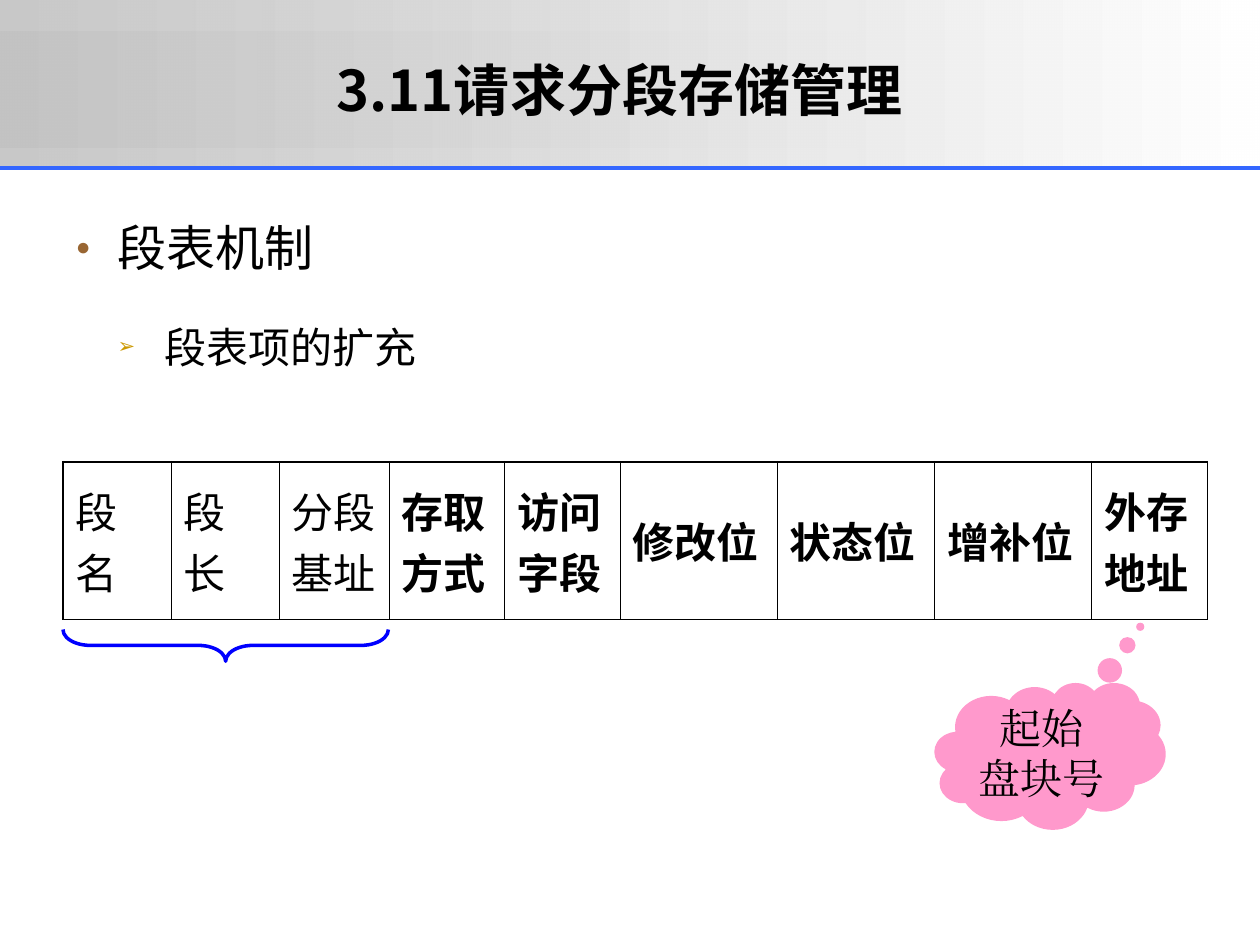
from dataclasses import dataclass

from lxml.etree import SubElement
from pptx import Presentation
from pptx.dml.color import RGBColor
from pptx.enum.shapes import MSO_CONNECTOR, MSO_SHAPE
from pptx.enum.text import MSO_ANCHOR, MSO_AUTO_SIZE, PP_ALIGN
from pptx.oxml.ns import qn
from pptx.util import Cm, Pt

CJK = "Noto Sans CJK SC"
BLACK = "000000"


@dataclass(frozen=True)
class Band:
    """A header band that fades from grey to white."""
    top: float
    height: float
    opacity: int


@dataclass(frozen=True)
class Field:
    """One field of the segment table entry."""
    name: str
    width: float
    added: bool = True


@dataclass(frozen=True)
class Bullet:
    """A list mark with its colour and hanging indent."""
    mark: str
    color: str
    indent: float


BANDS = [Band(0, 3.39, 86), Band(0.64, 2.33, 59)]
FIELDS = [
    Field("段名", 2.18, False),
    Field("段长", 2.18, False),
    Field("分段基址", 2.21, False),
    Field("存取方式", 2.33),
    Field("访问字段", 2.33),
    Field("修改位", 3.17),
    Field("状态位", 3.17),
    Field("增补位", 3.17),
    Field("外存地址", 2.33),
]


def rgb(value: str) -> RGBColor:
    """Turn a hex string into a colour."""
    return RGBColor.from_string(value)


def place(shape, left: float, top: float, width: float, height: float) -> None:
    """Move and size a shape in centimetres."""
    shape.left, shape.top, shape.width, shape.height = map(Cm, (left, top, width, height))


def add_bullet(paragraph, bullet: Bullet) -> None:
    """Give a paragraph a coloured half-size bullet."""
    properties = paragraph._p.get_or_add_pPr()
    properties.set("marL", str(Cm(bullet.indent)))
    properties.set("indent", str(-Cm(bullet.indent)))
    SubElement(SubElement(properties, qn("a:buClr")), qn("a:srgbClr"), val=bullet.color)
    SubElement(properties, qn("a:buSzPct"), val="50000")
    SubElement(properties, qn("a:buFont"), typeface="Arial")
    SubElement(properties, qn("a:buChar"), char=bullet.mark)


def write(frame, text: str, *, size: float = 24, font: str = "Arial", east: str = CJK,
          bold: bool = False, align=PP_ALIGN.LEFT, anchor=MSO_ANCHOR.MIDDLE,
          margins: tuple[float, float] = (0.25, 0.13), bullet: Bullet | None = None) -> None:
    """Write formatted lines into a text frame."""
    frame.text = text
    frame.word_wrap = True
    frame.auto_size = MSO_AUTO_SIZE.NONE
    frame.vertical_anchor = anchor
    frame.margin_left = frame.margin_right = Cm(margins[0])
    frame.margin_top = frame.margin_bottom = Cm(margins[1])
    for paragraph in frame.paragraphs:
        paragraph.alignment = align
        paragraph.space_before = Pt(0)
        if bullet:
            add_bullet(paragraph, bullet)
        for run in paragraph.runs:
            run.font.size = Pt(size)
            run.font.name = font
            run.font.bold = bold
            run.font.color.rgb = rgb(BLACK)
            SubElement(run.font._element, qn("a:ea"), typeface=east)


def add_band(slide, band: Band) -> None:
    """Draw one fading header band."""
    shape = slide.shapes.add_shape(
        MSO_SHAPE.RECTANGLE, 0, Cm(band.top), Cm(25.4), Cm(band.height))
    shape.shadow.inherit = False
    shape.line.fill.background()
    shape.fill.gradient()
    shape.fill.gradient_angle = 0
    for stop, color in zip(shape.fill.gradient_stops, ("C0C0C0", "FFFFFF")):
        stop.color.rgb = rgb(color)
    grey = next(shape._element.iter(qn("a:srgbClr")))
    SubElement(grey, qn("a:alpha"), val=str(band.opacity * 1000))


def add_rule(slide) -> None:
    """Draw the blue line under the header."""
    rule = slide.shapes.add_connector(
        MSO_CONNECTOR.STRAIGHT, 0, Cm(3.39), Cm(25.4), Cm(3.39))
    rule.line.color.rgb = rgb("3366FF")
    rule.line.width = Pt(2.25)
    SubElement(rule._element.spPr, qn("a:effectLst"))


def add_borders(cell, widths: dict[str, float]) -> None:
    """Draw the four borders of a cell."""
    properties = cell._tc.get_or_add_tcPr()
    for side, width in widths.items():
        border = SubElement(properties, qn(f"a:ln{side}"), w=str(Pt(width)))
        SubElement(SubElement(border, qn("a:solidFill")), qn("a:srgbClr"), val=BLACK)


def add_segment_entry(slide, fields: list[Field]) -> None:
    """Draw the extended segment table entry."""
    total = sum(field.width for field in fields)
    table = slide.shapes.add_table(
        1, len(fields), Cm(1.27), Cm(9.31), Cm(total), Cm(3.18)).table
    table.first_row = table.horz_banding = False
    thin, thick = 0.45, 1.08
    for index, field in enumerate(fields):
        table.columns[index].width = Cm(field.width)
        cell = table.cell(0, index)
        write(cell.text_frame, field.name, bold=field.added)
        cell.vertical_anchor = MSO_ANCHOR.MIDDLE
        add_borders(cell, {
            "L": thick if index == 0 else thin,
            "R": thick if index == len(fields) - 1 else thin,
            "T": thick,
            "B": thick,
        })
        cell.fill.background()


def add_brace(slide) -> None:
    """Draw the brace under the basic fields."""
    brace = slide.shapes.add_shape(
        MSO_SHAPE.LEFT_BRACE, Cm(4.23), Cm(9.73), Cm(0.64), Cm(6.56))
    brace.rotation = 270
    brace.adjustments[0] = 0.86
    brace.shadow.inherit = False
    brace.fill.background()
    brace.line.color.rgb = rgb("0000FF")
    brace.line.width = Pt(2)


def add_cloud(slide) -> None:
    """Draw the cloud that explains the external address."""
    cloud = slide.shapes.add_shape(
        MSO_SHAPE.CLOUD_CALLOUT, Cm(18.84), Cm(13.76), Cm(4.66), Cm(2.96))
    cloud.adjustments[0], cloud.adjustments[1] = 0.39, -0.88
    cloud.shadow.inherit = False
    cloud.fill.solid()
    cloud.fill.fore_color.rgb = rgb("FF99CC")
    cloud.line.fill.background()
    write(cloud.text_frame, "起始\n盘块号", font="Times New Roman",
          east="Times New Roman", align=PP_ALIGN.CENTER, margins=(0, 0))


def main() -> None:
    """Build the slide and save it."""
    deck = Presentation()
    deck.slide_width, deck.slide_height = Cm(25.4), Cm(19.05)
    slide = deck.slides.add_slide(deck.slide_layouts[1])
    for band in BANDS:
        add_band(slide, band)
    add_rule(slide)

    topic, detail = slide.placeholders
    place(topic, 1.48, 4.02, 20.96, 1.91)
    write(topic.text_frame, "段表机制", size=28, margins=(0.05, 0.03),
          bullet=Bullet("●", "996633", 0.84))
    place(detail, 2.12, 6.35, 20.11, 2.12)
    write(detail.text_frame, "段表项的扩充", anchor=MSO_ANCHOR.TOP,
          bullet=Bullet("➢", "CC9900", 0.95))

    add_segment_entry(slide, FIELDS)
    add_cloud(slide)
    add_brace(slide)
    heading = slide.shapes.add_textbox(Cm(2.12), Cm(0.21), Cm(20.74), Cm(3.18))
    write(heading.text_frame, "3.11请求分段存储管理", size=32, font=CJK, bold=True,
          align=PP_ALIGN.CENTER)
    deck.save("out.pptx")


if __name__ == "__main__":
    main()
